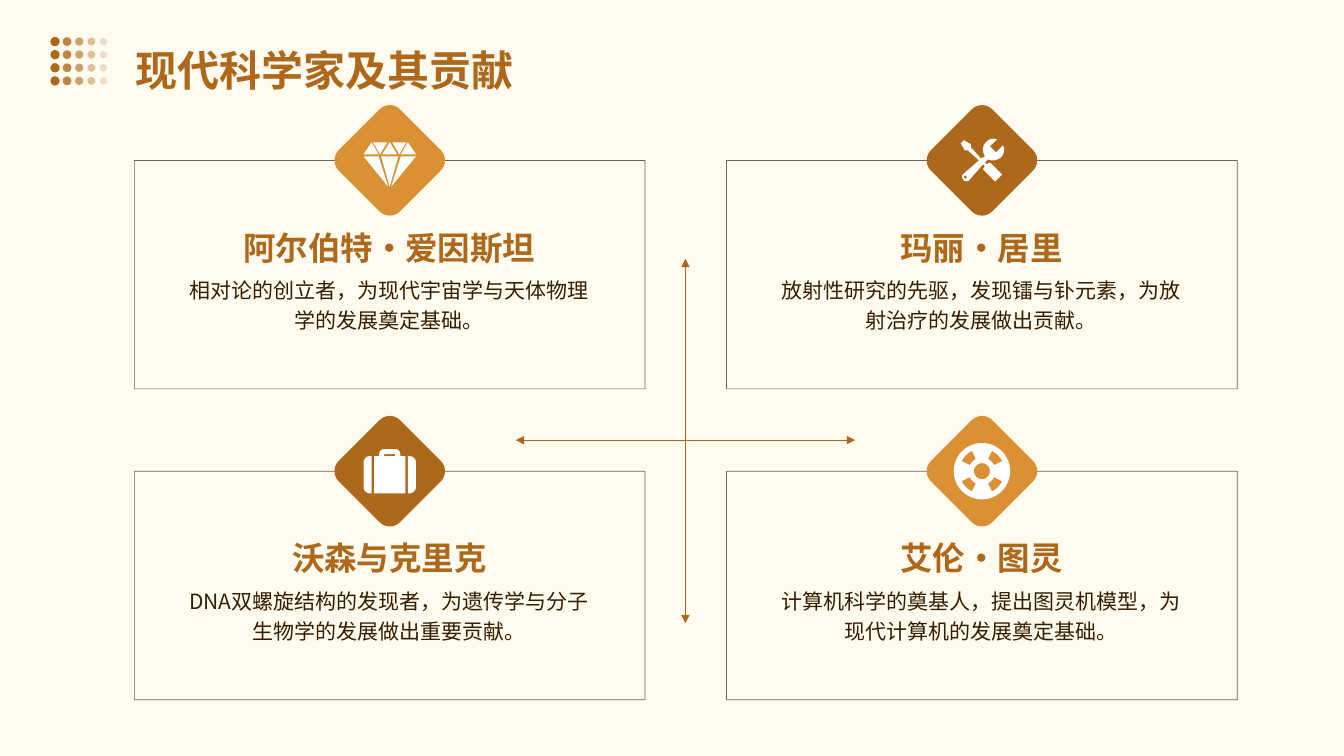
from math import cos, sin, radians

from lxml.etree import SubElement
from pptx import Presentation
from pptx.dml.color import RGBColor
from pptx.enum.lang import MSO_LANGUAGE_ID
from pptx.enum.shapes import MSO_CONNECTOR, MSO_SHAPE
from pptx.enum.text import MSO_AUTO_SIZE, PP_ALIGN
from pptx.oxml.ns import qn
from pptx.util import Emu, Inches, Pt

BROWN, AMBER, INK, CREAM, WHITE = "AE681B", "D99134", "351E00", "FFFBEF", "FFFFFF"
FONT = "Noto Sans CJK SC"
COLS, ROWS = 160, 90
WIDE, HIGH = Inches(13.33), Inches(7.5)
UNIT = 0.12  # one icon unit in grid cells


def paint(fill, hue):
    fill.solid()
    fill.fore_color.rgb = RGBColor.from_string(hue)


def fade(node, share):
    """Make the colour below node partly opaque (share in percent)."""
    if share < 100:
        tone = node.find(".//" + qn("a:srgbClr"))
        SubElement(tone, qn("a:alpha")).set("val", str(share * 1000))


def trace(*parts):
    """Turn points and six-number cubic curves into one outline."""
    dots = []
    for part in parts:
        if len(part) == 2:
            dots.append(part)
            continue
        ends = [dots[-1], part[:2], part[2:4], part[4:]]
        for t in (0.25, 0.5, 0.75, 1):
            mix = ((1 - t) ** 3, 3 * t * (1 - t) ** 2, 3 * t * t * (1 - t), t ** 3)
            dots.append(tuple(sum(m * e[i] for m, e in zip(mix, ends)) for i in (0, 1)))
    return dots


def mirror(rings):
    return rings + [[(-x, y) for x, y in ring] for ring in rings]


def arc(size, start, stop, count=8):
    turns = [radians(start + (stop - start) * i / count) for i in range(count + 1)]
    return [(size * cos(t), size * sin(t)) for t in turns]


def gem():
    half = [[(-26, -4), (-1.5, 26), (-11, -4)],
            [(-26, -6), (-18, -18), (-11, -6)],
            [(-16.5, -18), (-2.5, -18), (-9.5, -6)]]
    return mirror(half) + [[(-8.5, -4), (0, 26), (8.5, -4)],
                           [(-7.5, -6), (0, -18), (7.5, -6)]]


def tools():
    body = trace(
        (21, -15), (23, -11, 22, -6, 19, -3), (15, 0, 10, 1, 6, -1),
        (3, 2), (5, 4), (6, 3), (7, 2, 8, 2, 9, 3),
        (19, 13), (20, 14, 20, 15, 19, 15), (14, 20), (14, 21, 13, 21, 12, 20),
        (2, 10), (1, 9, 1, 8, 2, 7), (3, 6), (1, 4),
        (-13, 20), (-15, 21, -17, 21, -18, 20), (-19, 18), (-20, 17, -20, 15, -19, 14),
        (-3, 0), (-14, -10), (-17, -10), (-21, -17), (-18, -20), (-11, -16), (-11, -13),
        (-1, -2), (3, -4), (0, -9, 0, -15, 4, -18), (7, -22, 11, -22, 15, -21),
        (8, -14), (14, -8))
    return [body, [(x - 16.5, y + 16.5) for x, y in arc(1.5, 0, 360)]]


def case():
    body = trace((10.5, -15), (15.5, -15), (15.5, 22), (-15.5, 22), (-15.5, -15),
                 (-10.5, -15), (-10.5, -17), (-10.5, -20, -8, -22, -5.5, -22),
                 (5.5, -22), (8, -22, 10.5, -20, 10.5, -17))
    side = trace((18, -15), (20, -15), (23, -15, 26, -12, 26, -9),
                 (26, 16), (26, 19, 23, 22, 20, 22), (18, 22))
    grip = [(-5.5, -17), (5.5, -17), (5.5, -15), (-5.5, -15)]
    return mirror([side]) + [body, grip]


def buoy():
    gaps = [arc(22.4, a, a + 37) + arc(13.4, a + 37, a) for a in (26.5, 116.5, 206.5, 296.5)]
    return [arc(28, 0, 360, 48), arc(8, 0, 360, 24)] + gaps


class Board:
    """Draws on one slide; lengths are cells of a 160 by 90 grid."""

    def __init__(self):
        self.deck = Presentation()
        self.deck.slide_width, self.deck.slide_height = WIDE, HIGH
        self.slide = self.deck.slides.add_slide(self.deck.slide_layouts[6])
        self.shapes = self.slide.shapes
        paint(self.slide.background.fill, CREAM)

    def span(self, *cells):
        """Convert alternating columns and rows to slide lengths."""
        return [Emu(round(c * (HIGH / ROWS if i % 2 else WIDE / COLS)))
                for i, c in enumerate(cells)]

    def shape(self, kind, box, hue, clear=100, edge=None, host=None):
        item = (host or self.slide).shapes.add_shape(kind, *self.span(*box))
        item.shadow.inherit = False
        paint(item.fill, hue)
        fade(item._element.spPr.find(qn("a:solidFill")), clear)
        if edge:
            paint(item.line.fill, edge)
            item.line.width = Pt(0.5)
            fade(item._element.spPr.find(qn("a:ln")), 60)
        else:
            item.line.fill.background()
        return item

    def text(self, words, box, size, hue, bold=False, lead=1.2,
             align=PP_ALIGN.CENTER, pad=(0.12, 0.06, 0.12, 0.06)):
        frame = self.shapes.add_textbox(*self.span(*box)).text_frame
        frame.word_wrap = True
        frame.auto_size = MSO_AUTO_SIZE.SHAPE_TO_FIT_TEXT
        (frame.margin_left, frame.margin_top,
         frame.margin_right, frame.margin_bottom) = map(Inches, pad)
        frame.text = words
        para = frame.paragraphs[0]
        para.alignment, para.line_spacing = align, lead
        font = para.runs[0].font
        font.size, font.bold, font.name = Pt(size), bold, FONT
        font.language_id = MSO_LANGUAGE_ID.SIMPLIFIED_CHINESE
        font.color.rgb = RGBColor.from_string(hue)
        SubElement(font._element, qn("a:ea")).set("typeface", FONT)

    def arrow(self, *ends):
        """Draw a line with a triangle at both ends."""
        item = self.shapes.add_connector(MSO_CONNECTOR.STRAIGHT, *self.span(*ends))
        paint(item.line.fill, BROWN)
        item.line.width = Pt(0.75)
        props = item._element.spPr
        for tip in ("a:headEnd", "a:tailEnd"):
            SubElement(props.find(qn("a:ln")), qn(tip)).set("type", "triangle")
        SubElement(props, qn("a:effectLst"))

    def icon(self, rings, x, y):
        """Draw closed outlines around a centre as one white shape."""
        rings = [[self.span(x + a * UNIT, y + b * UNIT) for a, b in ring] for ring in rings]
        pen = self.shapes.build_freeform(*rings[0][0], scale=1.0)
        for i, ring in enumerate(rings):
            if i:
                pen.move_to(*ring[0])
            pen.add_line_segments(ring[1:], close=True)
        item = pen.convert_to_shape()
        item.shadow.inherit = False
        paint(item.fill, WHITE)
        item.line.fill.background()

    def card(self, x, y, name, words, hue, rings):
        wide, side = 60.8, 10.32
        mid = x + wide / 2
        self.shape(MSO_SHAPE.RECTANGLE, (x, y, wide, 27.2), CREAM, 60, "000000")
        self.text(name, (x + 0.7, y + 6.36, 59.3, 7.3), 23.2, BROWN, True)
        self.text(words, (x + 4.7, y + 12.6, 51.2, 9.2), 15, INK)
        tile = self.shape(MSO_SHAPE.ROUNDED_RECTANGLE,
                          (mid - side / 2, y - side / 2, side, side), hue)
        tile.rotation = 45
        tile.adjustments[0] = 0.167
        self.icon(rings, mid, y)

    def dots(self):
        group = self.shapes.add_group_shape()
        for row in range(4):
            for col in range(5):
                size = 1.1 - 0.06 * col
                x, y = 6.55 + 1.44 * col, 4.95 + 1.56 * row
                self.shape(MSO_SHAPE.OVAL, (x - size / 2, y - size / 2, size, size),
                           BROWN, 100 - 20 * col, host=group)


CARDS = [
    ("阿尔伯特·爱因斯坦", "相对论的创立者，为现代宇宙学与天体物理学的发展奠定基础。", AMBER, gem()),
    ("玛丽·居里", "放射性研究的先驱，发现镭与钋元素，为放射治疗的发展做出贡献。", BROWN, tools()),
    ("沃森与克里克", "DNA双螺旋结构的发现者，为遗传学与分子生物学的发展做出重要贡献。", BROWN, case()),
    ("艾伦·图灵", "计算机科学的奠基人，提出图灵机模型，为现代计算机的发展奠定基础。", AMBER, buoy()),
]


def main():
    board = Board()
    for i, (name, words, hue, rings) in enumerate(CARDS):
        board.card(16 + 70.5 * (i % 2), 19.1 + 37 * (i // 2), name, words, hue, rings)
    board.arrow(81.6, 74.2, 81.6, 30.8)
    board.arrow(61.4, 52.4, 101.8, 52.4)
    board.dots()
    board.text("现代科学家及其贡献", (14.4, 1.2, 131.3, 12), 30, BROWN, True, 1.4,
               PP_ALIGN.LEFT, (0.14, 0.14, 0.06, 0.14))
    board.deck.save("out.pptx")


if __name__ == "__main__":
    main()
